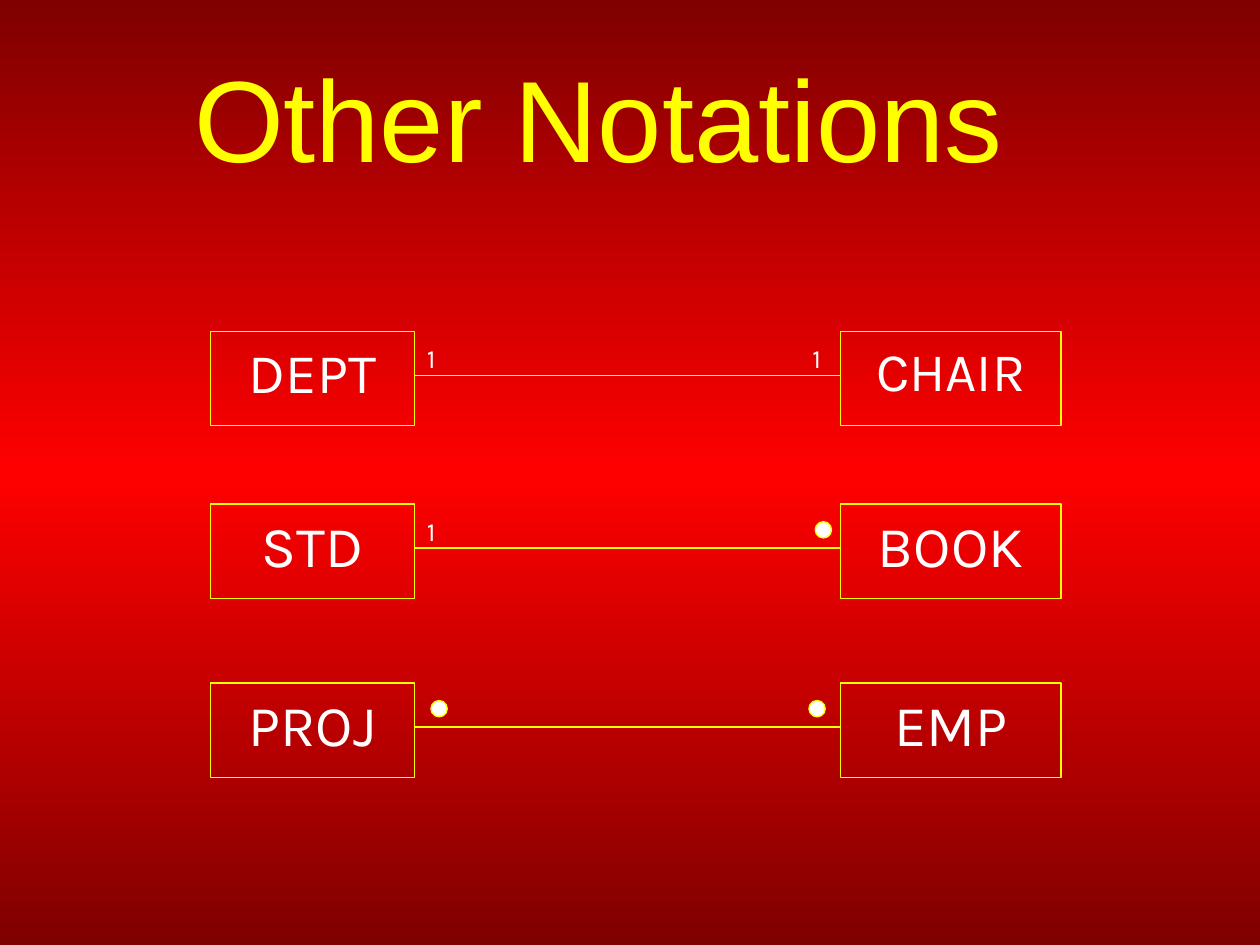
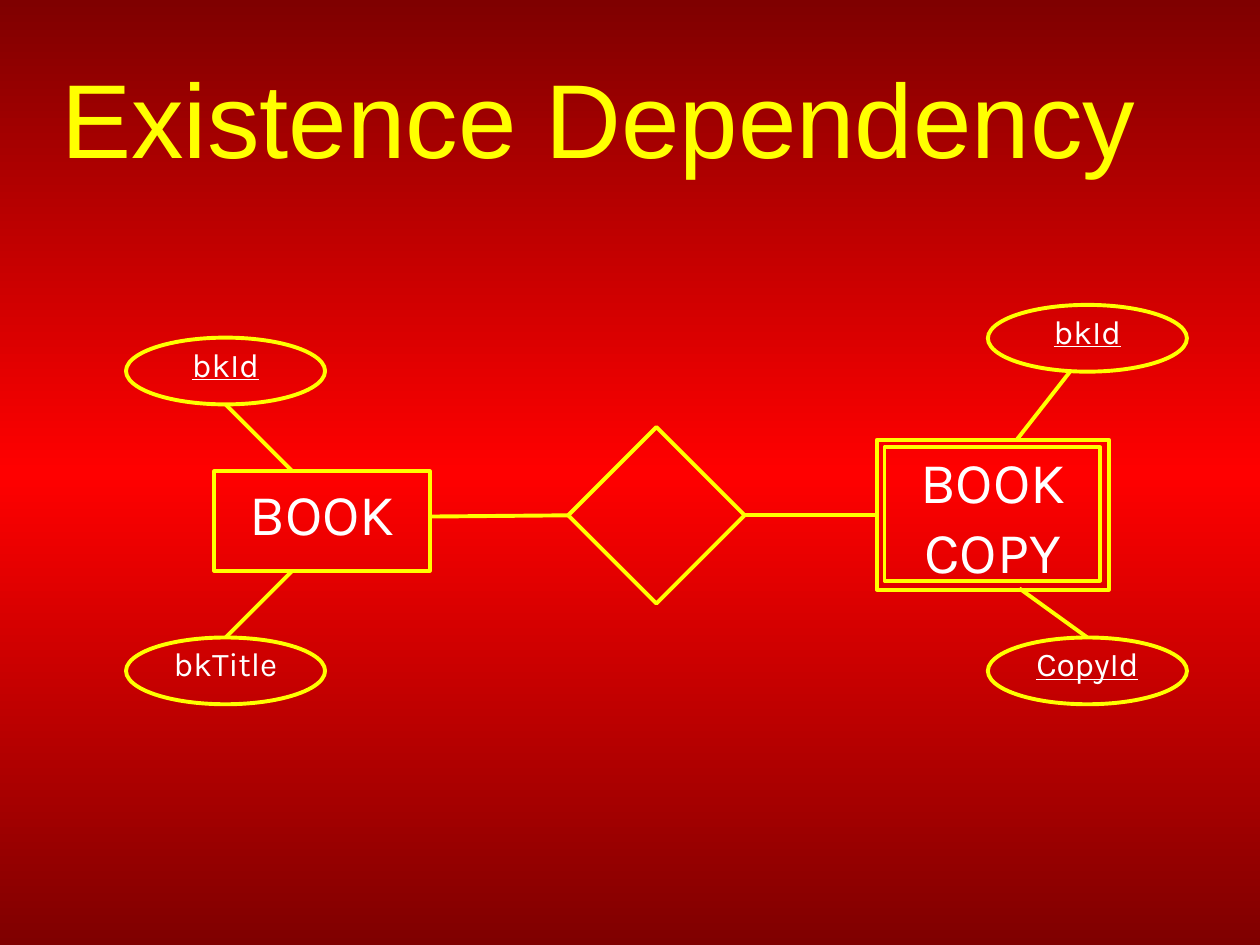
from copy import deepcopy

from lxml.etree import SubElement
from pptx import Presentation
from pptx.dml.color import RGBColor
from pptx.enum.shapes import MSO_CONNECTOR as Connector, MSO_SHAPE as Shape
from pptx.enum.text import MSO_ANCHOR as Anchor, PP_ALIGN as Align
from pptx.oxml.ns import qn
from pptx.util import Inches, Pt

YELLOW, WHITE, RED, DARK_RED = "FFFF00", "FFFFFF", "FF0000", "7F0000"
TITLE_FONT, BODY_FONT = "Arial", "Karla"
THIN, THICK = 0.75, 2.25
OVAL_WIDTH, OVAL_HEIGHT = 1.58, 0.53


def color(hex_string):
    return RGBColor.from_string(hex_string)


def paint_background(master):
    fill = master.background.fill
    fill.gradient()
    fill.gradient_angle = 270
    stop_list = master.element.find(".//" + qn("a:gsLst"))
    stop_list.insert(1, deepcopy(stop_list[0]))
    shades = ((0, DARK_RED), (0.5, RED), (1, DARK_RED))
    for stop, (position, shade) in zip(fill.gradient_stops, shades):
        stop.position = position
        stop.color.rgb = color(shade)


def write(frame, text, size, font=BODY_FONT, shade=WHITE, align=Align.CENTER,
          anchor=Anchor.TOP, underline=None):
    frame.word_wrap = True
    frame.vertical_anchor = anchor
    frame.text = text
    for paragraph in frame.paragraphs:
        paragraph.alignment = align
        paragraph.font.name = font
        paragraph.font.size = Pt(size)
        paragraph.font.color.rgb = color(shade)
        paragraph.font.underline = underline


def add_label(slide, left, top, width, height, text, size, **style):
    box = slide.shapes.add_textbox(
        Inches(left), Inches(top), Inches(width), Inches(height))
    write(box.text_frame, text, size, **style)


def add_outline(slide, kind, left, top, width, height, weight, fill=None):
    outline = slide.shapes.add_shape(
        kind, Inches(left), Inches(top), Inches(width), Inches(height))
    outline.shadow.inherit = False
    if fill:
        outline.fill.solid()
        outline.fill.fore_color.rgb = color(fill)
    else:
        outline.fill.background()
    outline.line.color.rgb = color(YELLOW)
    outline.line.width = Pt(weight)
    return outline


def add_entity(slide, left, top, width, height, name, weight, size=33):
    entity = add_outline(slide, Shape.RECTANGLE, left, top, width, height, weight)
    write(entity.text_frame, name, size)


def add_link(slide, start, end, weight):
    link = slide.shapes.add_connector(
        Connector.STRAIGHT, *(Inches(value) for value in (*start, *end)))
    link.line.color.rgb = color(YELLOW)
    link.line.width = Pt(weight)
    SubElement(link.element.spPr, qn("a:effectLst"))


def add_one(slide, left, row_top):
    add_label(slide, left, row_top + 0.04, 0.37, 0.37, "1", 15, align=Align.LEFT)


def add_many(slide, left, row_top):
    add_outline(slide, Shape.OVAL, left, row_top + 0.14, 0.13, 0.13, THIN, WHITE)


def add_attribute(slide, left, top, name, is_key=True):
    add_outline(slide, Shape.OVAL, left, top, OVAL_WIDTH, OVAL_HEIGHT, THICK)
    add_label(slide, left + 0.13, top, OVAL_WIDTH - 0.26, OVAL_HEIGHT, name, 19,
              underline=is_key or None)


def add_titled_slide(deck, title, size):
    slide = deck.slides.add_slide(deck.slide_layouts[6])
    add_label(slide, 0, 0.3, 9.5, 1.25, title, size, font=TITLE_FONT,
              shade=YELLOW, anchor=Anchor.MIDDLE)
    return slide


def build_notations(deck):
    slide = add_titled_slide(deck, "Other Notations", 66)
    relations = (
        (2.63, ("DEPT", 32, add_one, 3.29), ("CHAIR", 31, add_one, 6.35)),
        (4.0, ("STD", 33, add_one, 3.29), ("BOOK", 33, add_many, 6.47)),
        (5.42, ("PROJ", 33, add_many, 3.42), ("EMP", 33, add_many, 6.42)),
    )
    for top, *ends in relations:
        add_link(slide, (3.29, top + 0.35), (6.67, top + 0.35), THIN)
        for (left, width), end in zip(((1.67, 1.62), (6.67, 1.75)), ends):
            name, size, add_cardinality, mark_left = end
            add_entity(slide, left, top, width, 0.75, name, THIN, size)
            add_cardinality(slide, mark_left, top)


def build_dependency(deck):
    slide = add_titled_slide(deck, "Existence Dependency", 60)
    add_entity(slide, 1.7, 3.74, 1.71, 0.79, "BOOK", THICK)
    add_entity(slide, 6.96, 3.49, 1.84, 1.19, "BOOK\nCOPY", THICK)
    add_outline(slide, Shape.RECTANGLE, 7.02, 3.55, 1.71, 1.06, THICK)
    add_outline(slide, Shape.DIAMOND, 4.51, 3.39, 1.4, 1.4, THICK)
    links = (
        ((3.41, 4.1), (4.51, 4.09)),
        ((5.91, 4.09), (6.96, 4.09)),
        ((1.79, 3.21), (2.32, 3.74)),
        ((2.32, 4.53), (1.79, 5.06)),
        ((8.5, 2.94), (8.07, 3.49)),
        ((8.09, 4.67), (8.63, 5.06)),
    )
    for start, end in links:
        add_link(slide, start, end, THICK)
    add_attribute(slide, 1, 2.68, "bkId")
    add_attribute(slide, 1, 5.06, "bkTitle", is_key=False)
    add_attribute(slide, 7.84, 2.42, "bkId")
    add_attribute(slide, 7.84, 5.06, "CopyId")


def main():
    deck = Presentation()
    deck.slide_width, deck.slide_height = Inches(10), Inches(7.5)
    paint_background(deck.slide_master)
    build_notations(deck)
    build_dependency(deck)
    deck.save("out.pptx")


if __name__ == "__main__":
    main()
